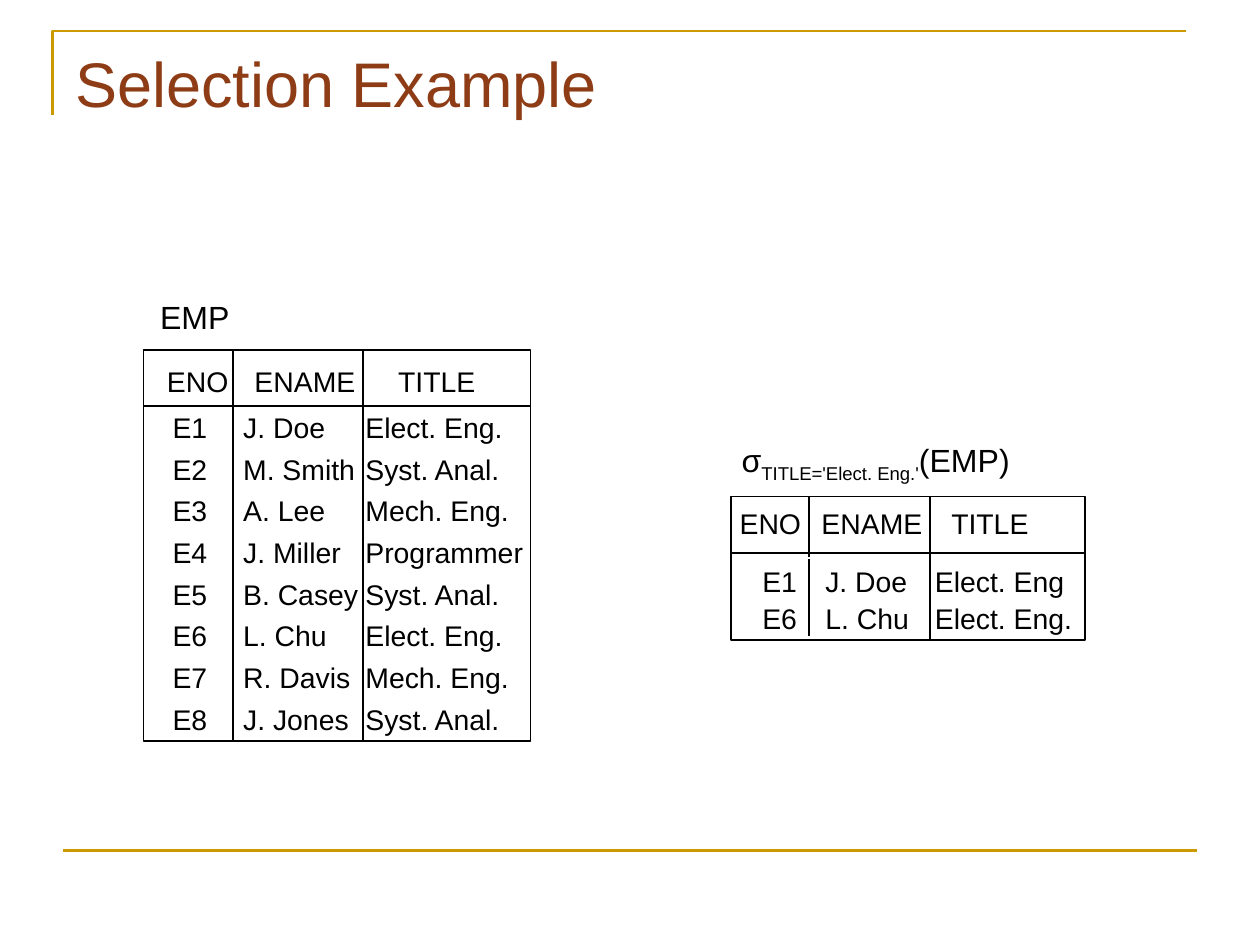
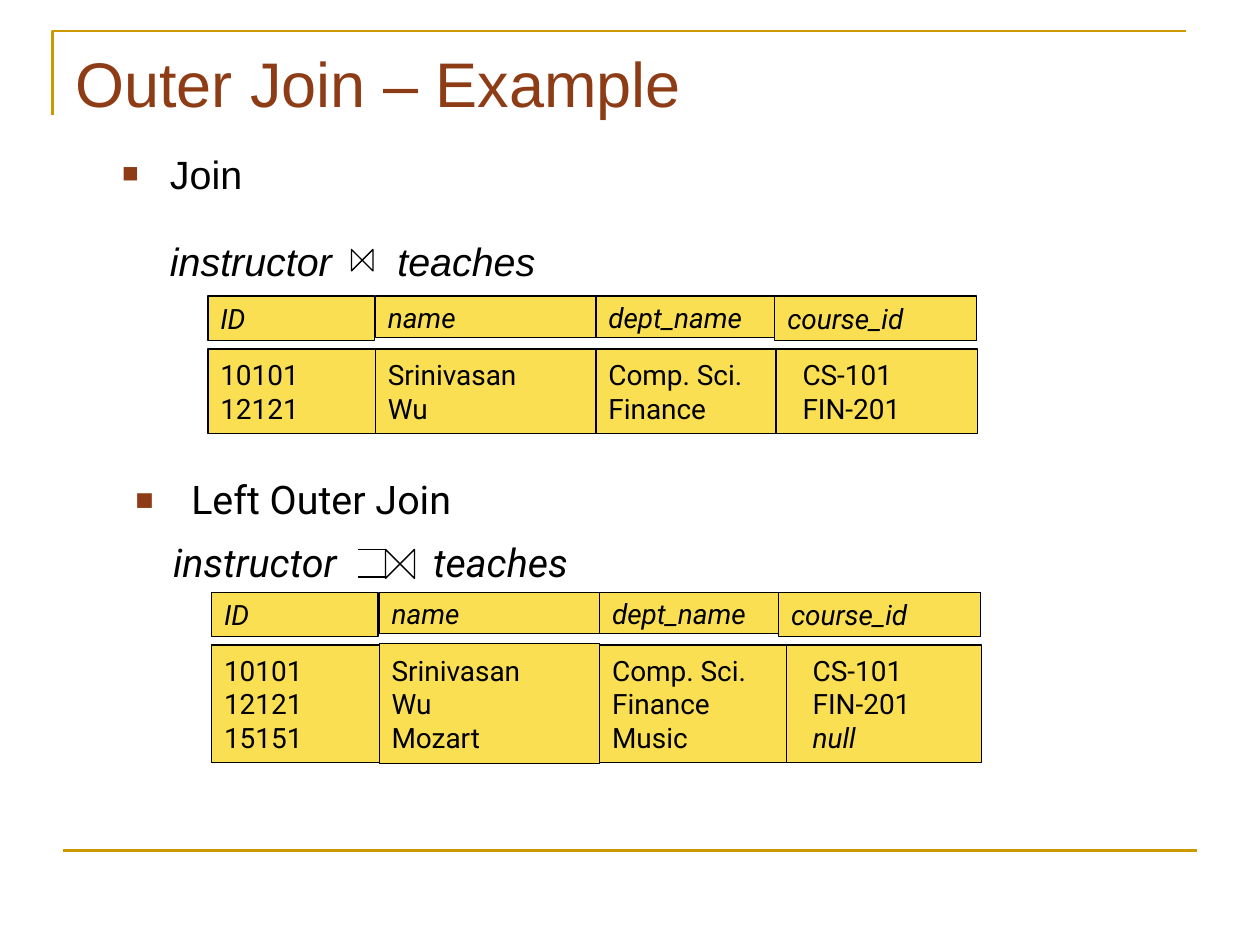
from dataclasses import dataclass
from typing import NamedTuple

from lxml import etree
from pptx import Presentation
from pptx.dml.color import RGBColor
from pptx.enum.shapes import MSO_CONNECTOR, MSO_SHAPE
from pptx.enum.text import MSO_ANCHOR, PP_ALIGN
from pptx.oxml.ns import qn
from pptx.util import Inches, Pt

STRAIGHT = MSO_CONNECTOR.STRAIGHT
COLLATE, RECT = MSO_SHAPE.FLOWCHART_COLLATE, MSO_SHAPE.RECTANGLE
MID, LEFT = MSO_ANCHOR.MIDDLE, PP_ALIGN.LEFT

WIDE, HIGH = Inches(10), Inches(7.5)
COLS, ROWS = 100, 75  # square cells, so one unit serves both ways
UNIT = WIDE // COLS

HUES = {"gold": "CC9900", "rust": "8D3C15", "ink": "000000", "sun": "FBDF53"}
TITLE = {"name": "Arial", "size": Pt(36), "hue": "rust"}
LABEL = {"name": "Arial", "size": Pt(18.3), "hue": "ink"}
ENTRY = {"name": "Arial", "size": Pt(16.2), "hue": "ink"}
FIELD = {"name": "Roboto", "size": Pt(16), "hue": "ink"}
POINT = {"name": "Arial", "size": Pt(22.5), "hue": "ink"}
ROUND = POINT | {"name": "Roboto"}
SLANT = {"italic": True}
TIGHT = (0.7, 0.3)


class Bullet(NamedTuple):
    mark: str
    share: int
    indent: float


class Line(NamedTuple):
    x1: float
    y1: float
    x2: float
    y2: float


class Band(NamedTuple):
    """Left edges and widths of the entries in each row of a relation."""
    lefts: tuple
    widths: tuple


class Col(NamedTuple):
    left: float
    width: float
    extra: float = 0  # added height
    rise: float = 0
    pad: float = 1


@dataclass
class Grid:
    """A relation: an outline, its rules, a head row and its entries."""
    box: tuple
    lines: list
    head: Band
    head_top: float
    body: Band
    top: float
    pitch: float
    cells: list


@dataclass
class Joined:
    """A join result: a yellow head strip with a body block under it."""
    left: float
    top: float
    high: float
    cols: list
    cells: list


@dataclass
class Point:
    """A bullet over two relation names with a join sign between them."""
    box: tuple
    text: str
    style: dict
    bullet: Bullet
    gap: float
    tabs: tuple
    sign: tuple
    wings: bool = False


def span(count: float) -> int:
    return round(count * UNIT)


def tint(name: str) -> RGBColor:
    return RGBColor.from_string(HUES[name])


def dress(font, style: dict) -> None:
    for key, value in style.items():
        if key == "hue":
            font.color.rgb = tint(value)
        else:
            setattr(font, key, value)


def stroke(shape, hue: str, width: float) -> None:
    shape.line.color.rgb = tint(hue)
    shape.line.width = Pt(width)


def rule(slide, line: Line, hue: str, width: float) -> None:
    link = slide.shapes.add_connector(STRAIGHT, *map(span, line))
    stroke(link, hue, width)
    etree.SubElement(link._element.spPr, qn("a:effectLst"))


def shape(slide, kind, box: tuple, width: float, fill: str = ""):
    """Add a preset shape with a black outline."""
    item = slide.shapes.add_shape(kind, *map(span, box))
    item.shadow.inherit = False
    if fill:
        item.fill.solid()
        item.fill.fore_color.rgb = tint(fill)
    else:
        item.fill.background()
    stroke(item, "ink", width)
    return item


def say(para, text: str, style: dict) -> None:
    run = para.add_run()
    run.text = text
    dress(run.font, style)


def write(slide, box: tuple, runs: list, pads: tuple = (1, 0.5)):
    """Add a text box; runs are (text, style) pairs of its first paragraph."""
    frame = slide.shapes.add_textbox(*map(span, box)).text_frame
    frame.word_wrap = True
    frame.margin_left = frame.margin_right = span(pads[0])
    frame.margin_top = frame.margin_bottom = span(pads[1])
    for text, style in runs:
        say(frame.paragraphs[0], text, style)
    return frame


def mark(para, bullet: Bullet) -> None:
    props = para._p.get_or_add_pPr()
    props.set("marL", str(span(bullet.indent)))
    props.set("indent", str(-span(bullet.indent)))
    color = etree.SubElement(props, qn("a:buClr"))
    etree.SubElement(color, qn("a:srgbClr"), val=HUES["rust"])
    etree.SubElement(props, qn("a:buSzPct"), val=str(bullet.share * 1000))
    etree.SubElement(props, qn("a:buFont"), typeface="Arial")
    etree.SubElement(props, qn("a:buChar"), char=bullet.mark)


def draw_row(slide, band: Band, top: float, words: tuple) -> None:
    for left, width, word in zip(band.lefts, band.widths, words):
        write(slide, (left, top, width, 3.4), [(word, ENTRY)], TIGHT)


def draw_grid(slide, grid: Grid) -> None:
    shape(slide, RECT, grid.box, 1)
    draw_row(slide, grid.head, grid.head_top, HEADS)
    for r, words in enumerate(grid.cells):
        draw_row(slide, grid.body, grid.top + r * grid.pitch, words)
    for line in grid.lines:
        rule(slide, line, "ink", 1)


def draw_block(slide, box: tuple, words: list, style: dict,
               pad: float = 1) -> None:
    frame = shape(slide, RECT, box, 0.75, "sun").text_frame
    format = {"word_wrap": True, "vertical_anchor": MID,
              "margin_left": span(pad), "margin_right": 0}
    for key, value in format.items():
        setattr(frame, key, value)
    for r, word in enumerate(words):
        para = frame.add_paragraph() if r else frame.paragraphs[0]
        para.alignment = LEFT
        say(para, word, style | (SLANT if word == "null" else {}))


def draw_joined(slide, item: Joined) -> None:
    for col, word in zip(STRIP, FIELDS):
        draw_block(slide, (item.left + col.left, item.top, col.width,
                           3.3 + col.extra), [word], FIELD | SLANT)
    for col, words in zip(item.cols, zip(*item.cells)):
        draw_block(slide, (item.left + col.left, item.top + 4.2 - col.rise,
                           col.width, item.high + col.extra),
                   words, FIELD, col.pad)


def draw_point(slide, point: Point) -> None:
    frame = write(slide, point.box, [(point.text, point.style)])
    mark(frame.paragraphs[0], point.bullet)
    para = frame.add_paragraph()
    para.space_before = Pt(point.gap)
    tabs = etree.SubElement(para._p.get_or_add_pPr(), qn("a:tabLst"))
    for tab in point.tabs:
        etree.SubElement(tabs, qn("a:tab"), pos=str(span(tab)), algn="l")
    say(para, "\tinstructor\tteaches", point.style | SLANT)
    x, y, size = point.sign
    shape(slide, COLLATE, (x, y, size, size), 0.75).rotation = 270
    if point.wings:
        for level in (y, y + size - 0.1):
            rule(slide, Line(x - 2.2, level, x, level), "ink", 0.75)


def start(deck, title: str):
    """Add a slide with the gold frame lines and its title."""
    slide = deck.slides.add_slide(deck.slide_layouts[6])
    left, top = span(4.17), span(2.46)
    pen = slide.shapes.build_freeform(left, span(9.13))
    pen.add_line_segments([(left, top), (span(94.17), top)], close=False)
    frame = pen.convert_to_shape()
    frame.shadow.inherit = False
    frame.fill.background()
    stroke(frame, "gold", 1.5)
    rule(slide, Line(5, 67.5, 95, 67.5), "gold", 1.5)
    write(slide, (5, 3, 90, 12.5), [(title, TITLE)])
    return slide


HEADS = ("ENO", "ENAME", "TITLE")
STAFF = [
    ("E1", "J. Doe", "Elect. Eng."),
    ("E2", "M. Smith", "Syst. Anal."),
    ("E3", "A. Lee", "Mech. Eng."),
    ("E4", "J. Miller", "Programmer"),
    ("E5", "B. Casey", "Syst. Anal."),
    ("E6", "L. Chu", "Elect. Eng."),
    ("E7", "R. Davis", "Mech. Eng."),
    ("E8", "J. Jones", "Syst. Anal."),
]
CHOSEN = [("E1", "J. Doe", "Elect. Eng"), ("E6", "L. Chu", "Elect. Eng.")]
FIELDS = ("ID", "name", "dept_name", "course_id")
TAUGHT = [
    ("10101", "Srinivasan", "Comp. Sci.", "CS-101"),
    ("12121", "Wu", "Finance", "FIN-201"),
]
UNTAUGHT = ("15151", "Mozart", "Music", "null")

HEAD_WIDTHS, BODY_WIDTHS = (6.5, 9.7, 7.8), (4.4, 10.8, 14.2)
EMP = Grid((11.4, 27.8, 30.7, 31),
           [Line(11.4, 34, 11.4, 53.4), Line(28.8, 27.8, 28.8, 58.8),
            Line(18.5, 27.8, 18.5, 58.8), Line(11.4, 32.2, 42.1, 32.2)],
           Band((12.55, 19.5, 30.9), HEAD_WIDTHS), 28.6,
           Band((13, 18.6, 28.3), BODY_WIDTHS), 32.25, 3.31, STAFF)
PICKED = Grid((58, 39.4, 28.1, 11.4),
              [Line(64.2, 39.4, 64.2, 44.2), Line(73.8, 39.4, 73.8, 50.8),
               Line(64.2, 44.4, 64.2, 50.5), Line(58, 43.9, 86.2, 43.9)],
              Band((58, 64.5, 74.8), HEAD_WIDTHS), 39.9,
              Band((59.8, 64.8, 73.5), BODY_WIDTHS), 44.45, 2.95, CHOSEN)

STRIP = [Col(0, 13.2, 0.2), Col(13.3, 17.5), Col(30.8, 14.5),
         Col(45, 16, 0.2)]
INNER = Joined(16.5, 23.5, 6.7,
               [Col(0, 13.5), Col(13.3, 17.5), Col(30.8, 14.8),
                Col(45.1, 16, pad=2.1)], TAUGHT)
OUTER = Joined(16.8, 47, 9.3,
               [Col(0, 13.5), Col(13.3, 17.5, 0.2, 0.1), Col(30.8, 14.8),
                Col(45.6, 15.5, pad=2.1)], TAUGHT + [UNTAUGHT])
POINTS = [
    Point((8.7, 11.4, 76.5, 9.6), "Join", POINT, Bullet("■", 70, 3.8),
          22.7, (3.8, 21.85), (27.9, 19.8, 1.7)),
    Point((9.7, 37.25, 46.3, 9.9), "Left Outer Join", ROUND,
          Bullet("▪", 150, 4.5), 8.5, (3.05, 23.7), (30.6, 43.6, 2.3), True),
]


def draw_select(deck) -> None:
    slide = start(deck, "Selection Example")
    draw_grid(slide, PICKED)
    frame = write(slide, (58.15, 34.65, 24.9, 3.8),
                  [(text, LABEL) for text in
                   ("σ", "TITLE='Elect. Eng.'", "(EMP)")], TIGHT)
    low = frame.paragraphs[0].runs[1]
    low._r.get_or_add_rPr().set("baseline", "-25000")
    draw_grid(slide, EMP)
    write(slide, (12, 23.3, 7.2, 3.8), [("EMP", LABEL)], TIGHT)


def draw_join(deck) -> None:
    slide = start(deck, "Outer Join – Example")
    for point in POINTS:
        draw_point(slide, point)
    for item in (INNER, OUTER):
        draw_joined(slide, item)


def main() -> None:
    deck = Presentation()
    deck.slide_width, deck.slide_height = WIDE, HIGH
    draw_select(deck)
    draw_join(deck)
    deck.save("out.pptx")


if __name__ == "__main__":
    main()
